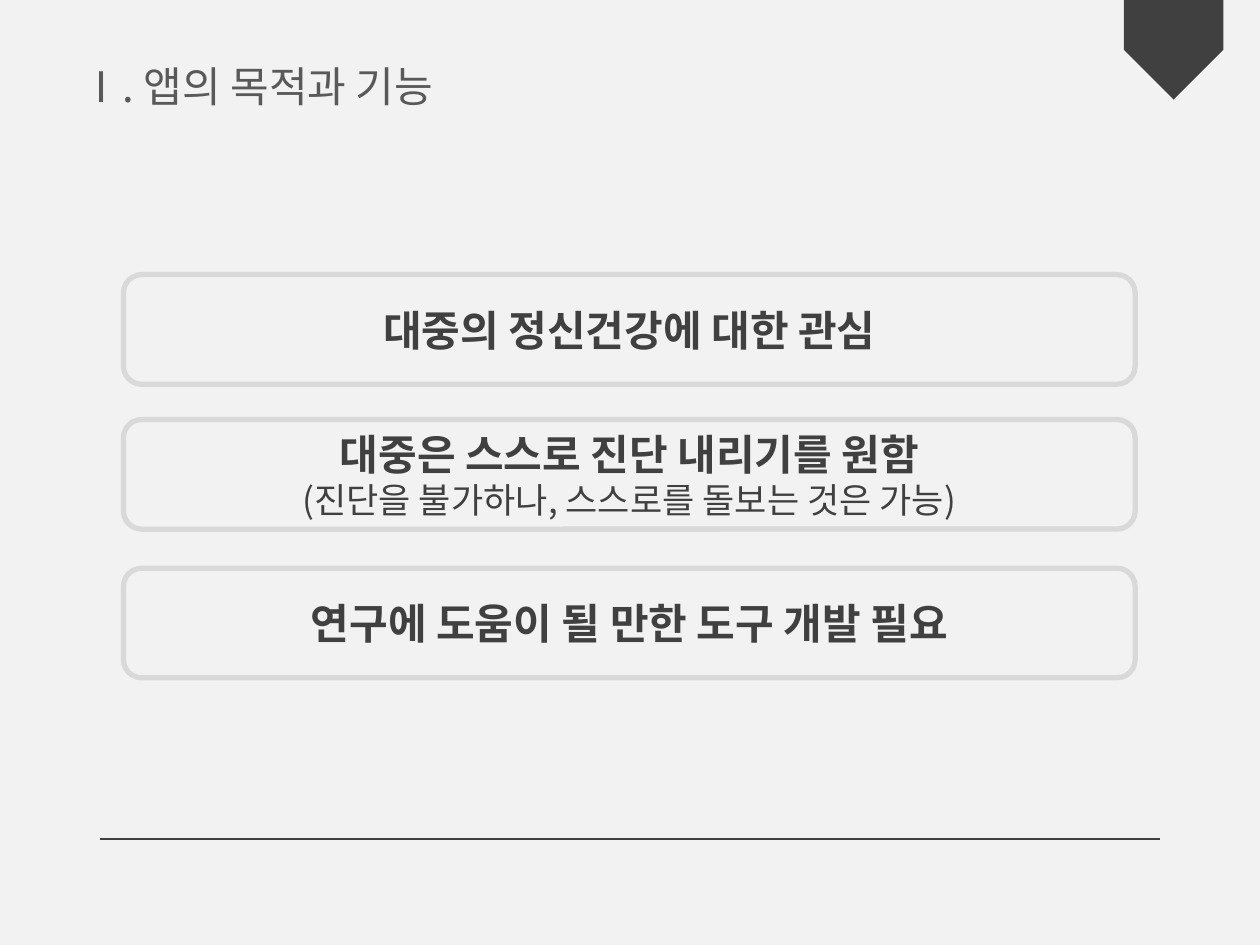
from dataclasses import dataclass

from lxml import etree
from pptx import Presentation
from pptx import util as u
from pptx.dml.color import RGBColor
from pptx.enum import shapes, text
from pptx.oxml import ns

FONT = "Noto Sans CJK KR"
PAPER = RGBColor(0xF2, 0xF2, 0xF2)
DARK = RGBColor(0x40, 0x40, 0x40)
TITLE_GRAY = RGBColor(0x59, 0x59, 0x59)
BORDER = RGBColor(0xD9, 0xD9, 0xD9)

CARD_LEFT, CARD_WIDTH, CARD_HEIGHT = 0.98, 8.03, 0.87


@dataclass
class Card:
    top: float
    heading: str
    note: str = ""


CARDS = [
    Card(2.18, "대중의 정신건강에 대한 관심"),
    Card(3.33, "대중은 스스로 진단 내리기를 원함",
         "(진단을 불가하나, 스스로를 돌보는 것은 가능)"),
    Card(4.51, "연구에 도움이 될 만한 도구 개발 필요"),
]


def write(para, words: str, size: int, color: RGBColor, bold: bool, align) -> None:
    para.text = words
    para.alignment = align
    for span in para.runs:
        span.font.name = FONT
        span.font.size = u.Pt(size)
        span.font.bold = bold
        span.font.color.rgb = color
        east_asian = etree.SubElement(span.font._element, ns.qn("a:ea"))
        east_asian.set("typeface", FONT)


def add_title(page, words: str) -> None:
    box = page.shapes.title
    box.left, box.top = u.Inches(0.54), u.Inches(0.43)
    box.width, box.height = u.Inches(3.31), u.Inches(0.5)
    frame = box.text_frame
    frame.word_wrap = False
    frame.auto_size = text.MSO_AUTO_SIZE.SHAPE_TO_FIT_TEXT
    frame.vertical_anchor = text.MSO_ANCHOR.TOP
    write(frame.paragraphs[0], words, 24, TITLE_GRAY, False, text.PP_ALIGN.LEFT)


def add_ribbon(page) -> None:
    ribbon = page.shapes.add_shape(
        shapes.MSO_SHAPE.PENTAGON,
        u.Inches(8.92), 0, u.Inches(0.79), u.Inches(0.79))
    ribbon.rotation = 90
    ribbon.shadow.inherit = False
    ribbon.fill.solid()
    ribbon.fill.fore_color.rgb = DARK
    ribbon.line.fill.background()


def add_footer_rule(page) -> None:
    rule = page.shapes.add_connector(
        shapes.MSO_CONNECTOR.STRAIGHT,
        u.Inches(0.79), u.Inches(6.66), u.Inches(9.21), u.Inches(6.66))
    rule.line.color.rgb = DARK
    rule.line.width = u.Pt(0.75)
    etree.SubElement(rule._element.spPr, ns.qn("a:effectLst"))


def add_card(page, card: Card) -> None:
    box = page.shapes.add_shape(
        shapes.MSO_SHAPE.ROUNDED_RECTANGLE,
        u.Inches(CARD_LEFT), u.Inches(card.top),
        u.Inches(CARD_WIDTH), u.Inches(CARD_HEIGHT))
    box.shadow.inherit = False
    box.fill.solid()
    box.fill.fore_color.rgb = PAPER
    box.line.color.rgb = BORDER
    box.line.width = u.Pt(3)
    frame = box.text_frame
    frame.word_wrap = True
    frame.vertical_anchor = text.MSO_ANCHOR.MIDDLE
    write(frame.paragraphs[0], card.heading, 24, DARK, True, text.PP_ALIGN.CENTER)
    if card.note:
        write(frame.add_paragraph(), card.note, 20, DARK, False, text.PP_ALIGN.CENTER)


def main() -> None:
    deck = Presentation()
    deck.slide_width, deck.slide_height = u.Inches(10), u.Inches(7.5)
    page = deck.slides.add_slide(deck.slide_layouts.get_by_name("Title Only"))
    page.background.fill.solid()
    page.background.fill.fore_color.rgb = PAPER
    add_title(page, "Ⅰ. 앱의 목적과 기능")
    add_ribbon(page)
    add_footer_rule(page)
    for card in CARDS:
        add_card(page, card)
    deck.save("out.pptx")


if __name__ == "__main__":
    main()
